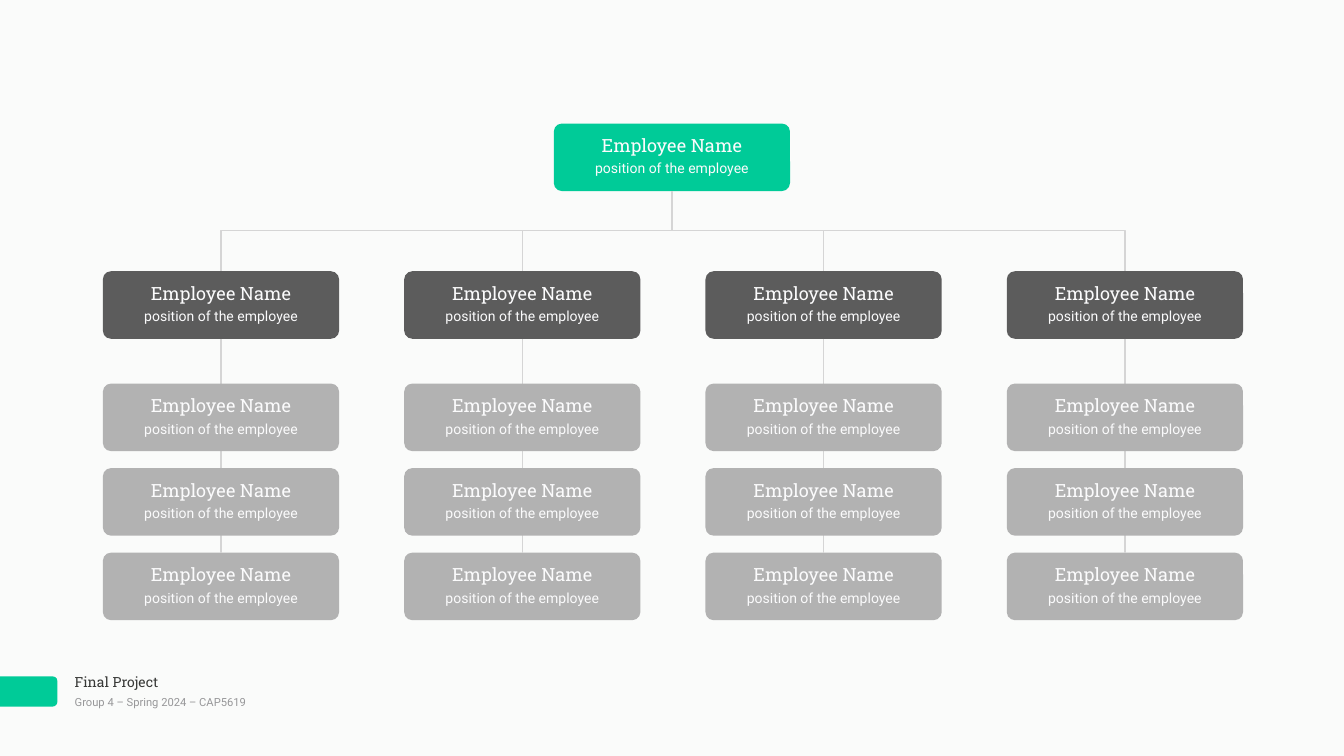
from dataclasses import dataclass

from pptx import Presentation
from pptx.dml.color import RGBColor
from pptx.enum.shapes import MSO_CONNECTOR, MSO_SHAPE
from pptx.enum.text import MSO_ANCHOR, MSO_AUTO_SIZE, PP_ALIGN
from pptx.oxml.ns import qn
from pptx.shapes.autoshape import Shape
from pptx.shapes.connector import Connector
from pptx.slide import Slide
from pptx.util import Pt

ROUNDED = MSO_SHAPE.ROUNDED_RECTANGLE
STRAIGHT = MSO_CONNECTOR.STRAIGHT
CENTER, LEFT = PP_ALIGN.CENTER, PP_ALIGN.LEFT
TOP, MIDDLE = MSO_ANCHOR.TOP, MSO_ANCHOR.MIDDLE
GROW = MSO_AUTO_SIZE.SHAPE_TO_FIT_TEXT
TOP_SIDE, BOTTOM_SIDE = 0, 2

GREEN, DARK, GRAY, LINE, WHITE = "00CB98", "5C5C5C", "B2B2B2", "D5D5D5", "FBFBFC"
SERIF, SANS = "Roboto Slab", "Roboto"

CARD_W, CARD_H = 337.5, 96.5
FIRST_LEFT, COLUMN_STEP, COLUMNS = 147, 430.5, 4
ROOT_LEFT, ROOT_TOP = 791.25, 176.5
MANAGER_TOP, STAFF_TOP, STAFF_STEP, STAFF_ROWS = 387.5, 548, 120.75, 3
BUS_Y = 329.5


@dataclass(frozen=True)
class Label:
    text: str
    left: float
    top: float
    width: float
    height: float
    size: float
    font: str
    color: str
    align: PP_ALIGN = CENTER
    anchor: MSO_ANCHOR = TOP


@dataclass(frozen=True)
class Card:
    left: float
    top: float
    fill: str
    name: str = "Employee Name"
    position: str = "position of the employee"


def rgb(value: str) -> RGBColor:
    return RGBColor.from_string(value)


def draw_label(slide: Slide, label: Label) -> None:
    box = slide.shapes.add_textbox(
        Pt(label.left), Pt(label.top), Pt(label.width), Pt(label.height))
    frame = box.text_frame
    frame.word_wrap = True
    frame.auto_size = GROW
    frame.vertical_anchor = label.anchor
    frame.margin_left = frame.margin_right = Pt(4.5)
    frame.margin_top = frame.margin_bottom = Pt(4.5)
    paragraph = frame.paragraphs[0]
    paragraph.alignment = label.align
    run = paragraph.add_run()
    run.text = label.text
    run.font.size = Pt(label.size)
    run.font.name = label.font
    run.font.color.rgb = rgb(label.color)


def draw_block(slide: Slide, left: float, top: float, width: float, height: float,
               fill: str, rounding: float) -> Shape:
    block = slide.shapes.add_shape(ROUNDED, Pt(left), Pt(top), Pt(width), Pt(height))
    block.adjustments[0] = rounding
    block.shadow.inherit = False
    block.fill.solid()
    block.fill.fore_color.rgb = rgb(fill)
    block.line.fill.background()
    return block


def draw_card(slide: Slide, card: Card) -> Shape:
    block = draw_block(slide, card.left, card.top, CARD_W, CARD_H, card.fill, 0.12)
    text_left = card.left + 40.5
    draw_label(slide, Label(card.name, text_left, card.top + 11, 256.5, 42,
                            26, SERIF, WHITE))
    draw_label(slide, Label(card.position, text_left, card.top + 47.5, 256.5, 32,
                            20, SANS, WHITE))
    return block


def draw_link(slide: Slide, x: float, top: float, bottom: float) -> Connector:
    link = slide.shapes.add_connector(STRAIGHT, Pt(x), Pt(top), Pt(x), Pt(bottom))
    link.line.color.rgb = rgb(LINE)
    link.line.width = Pt(2)
    properties = link._element.spPr
    properties.append(properties.makeelement(qn("a:effectLst"), {}))
    return link


def draw_bus(slide: Slide, first_x: float, last_x: float) -> None:
    builder = slide.shapes.build_freeform(Pt(first_x), Pt(MANAGER_TOP))
    builder.add_line_segments(
        [(Pt(first_x), Pt(BUS_Y)), (Pt(last_x), Pt(BUS_Y)), (Pt(last_x), Pt(MANAGER_TOP))],
        close=False)
    bus = builder.convert_to_shape()
    bus.shadow.inherit = False
    bus.fill.background()
    bus.line.color.rgb = rgb(LINE)
    bus.line.width = Pt(2)


def draw_team(slide: Slide, column: int) -> None:
    left = FIRST_LEFT + column * COLUMN_STEP
    center = left + CARD_W / 2
    *middle_staff, last_staff = [
        Card(left, STAFF_TOP + row * STAFF_STEP, GRAY) for row in range(STAFF_ROWS)]
    manager = draw_card(slide, Card(left, MANAGER_TOP, DARK))
    last = draw_card(slide, last_staff)
    chain = draw_link(slide, center, MANAGER_TOP + CARD_H, last_staff.top)
    chain.begin_connect(manager, BOTTOM_SIDE)
    chain.end_connect(last, TOP_SIDE)
    for staff in middle_staff:
        draw_card(slide, staff)
    if 0 < column < COLUMNS - 1:
        branch = draw_link(slide, center, BUS_Y, MANAGER_TOP)
        branch.end_connect(manager, TOP_SIDE)


def draw_footer(slide: Slide) -> None:
    draw_block(slide, -7.2, 966.25, 89.25, 43.2, GREEN, 0.16)
    draw_label(slide, Label("Final Project", 102.25, 957.5, 229.5, 32.5,
                            20, SERIF, "383937", LEFT))
    draw_label(slide, Label("Group 4 – Spring 2024 – CAP5619", 102.25, 988.5, 340, 27.5,
                            16, SANS, "979799", LEFT, MIDDLE))


def main() -> None:
    presentation = Presentation()
    presentation.slide_width = Pt(1920.24)
    presentation.slide_height = Pt(1080)
    slide = presentation.slides.add_slide(presentation.slide_layouts[6])
    slide.background.fill.solid()
    slide.background.fill.fore_color.rgb = rgb("FAFBFA")

    draw_footer(slide)
    first_center = FIRST_LEFT + CARD_W / 2
    draw_bus(slide, first_center, first_center + (COLUMNS - 1) * COLUMN_STEP)
    for column in range(COLUMNS):
        draw_team(slide, column)

    root = draw_card(slide, Card(ROOT_LEFT, ROOT_TOP, GREEN))
    trunk = draw_link(slide, ROOT_LEFT + CARD_W / 2, ROOT_TOP + CARD_H, BUS_Y)
    trunk.begin_connect(root, BOTTOM_SIDE)

    presentation.save("out.pptx")


if __name__ == "__main__":
    main()
